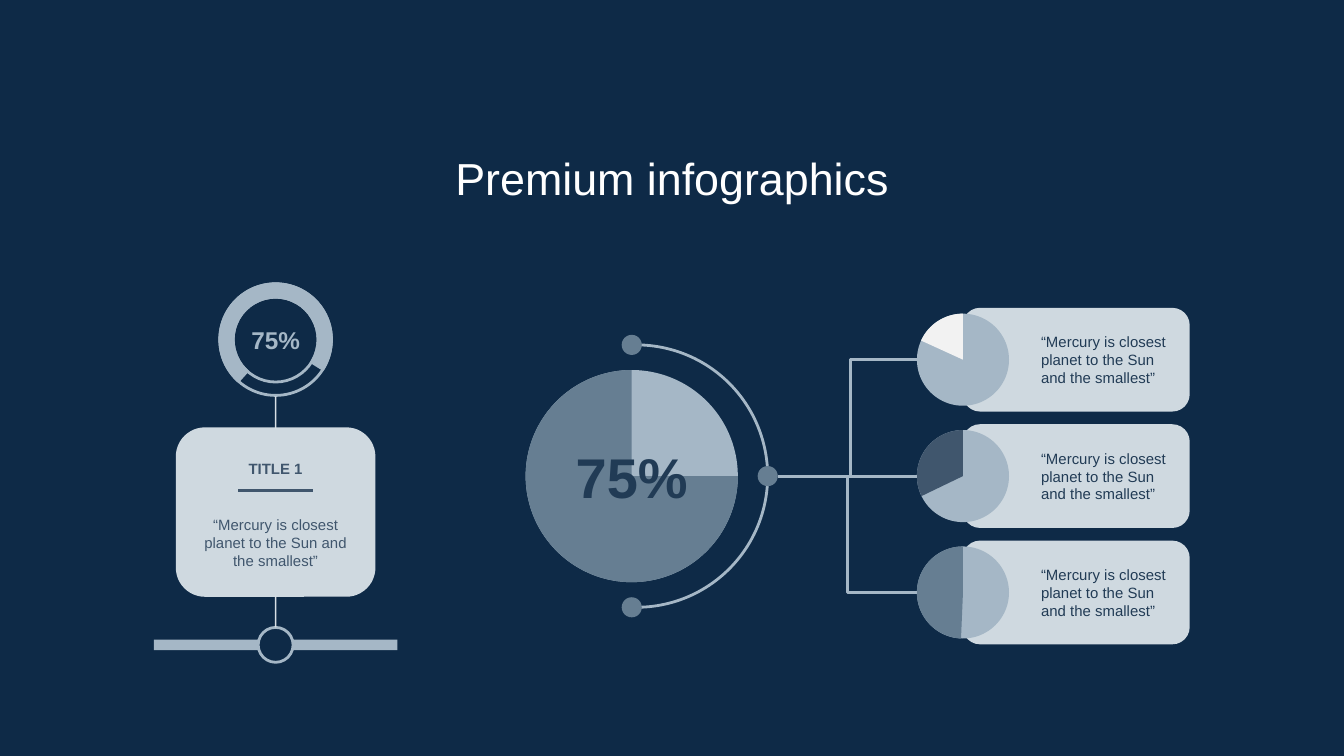
from dataclasses import dataclass

from lxml import etree
from pptx import Presentation
from pptx.dml.color import RGBColor
from pptx.enum.shapes import MSO_CONNECTOR as LINE, MSO_SHAPE as SHAPE
from pptx.enum.text import MSO_ANCHOR as ANCHOR, PP_ALIGN as ALIGN
from pptx.oxml.ns import qn
from pptx.util import Cm, Pt


@dataclass(frozen=True)
class Theme:
    font: str = "Arial"
    navy: str = "0E2A47"
    ink: str = "213B55"
    slate: str = "40566D"
    steel: str = "667E92"
    mist: str = "A5B7C6"
    card: str = "CFD9E0"
    thread: str = "D7DFE5"
    light: str = "F2F2F2"
    white: str = "FFFFFF"
    title: float = 24
    hub: float = 30
    ring: float = 13
    body: float = 8
    stroke: float = 1.5
    hairline: float = 0.75


T = Theme()
QUOTE = "“Mercury is closest planet to the Sun and the smallest”"


def rgb(color):
    return RGBColor.from_string(color)


def angle(degrees):
    """Preset-shape angle in the units of shape.adjustments."""
    return degrees * 0.6


class Canvas:
    """Draws on one slide; shapes and texts are placed by centre, in cm."""

    def __init__(self, s, theme):
        self.s, self.theme = s, theme
        s.background.fill.solid()
        s.background.fill.fore_color.rgb = rgb(theme.navy)

    def shape(self, kind, cx, cy, w, h, fill=None, line=None, adj=(), parent=None):
        shapes = (parent or self.s).shapes
        sp = shapes.add_shape(kind, Cm(cx - w / 2), Cm(cy - h / 2), Cm(w), Cm(h))
        sp.shadow.inherit = False
        for i, value in enumerate(adj):
            sp.adjustments[i] = value
        if fill:
            sp.fill.solid()
            sp.fill.fore_color.rgb = rgb(fill)
        else:
            sp.fill.background()
        if line:
            sp.line.color.rgb = rgb(line)
            sp.line.width = Pt(self.theme.stroke)
        else:
            sp.line.fill.background()
        return sp

    def dot(self, cx, cy, d, fill, line=None):
        return self.shape(SHAPE.OVAL, cx, cy, d, d, fill, line)

    def pie(self, cx, cy, d, start, color):
        """Disc with a sector from start degrees round to the top."""
        group = self.s.shapes.add_group_shape()
        self.shape(SHAPE.OVAL, cx, cy, d, d, self.theme.mist, parent=group)
        self.shape(SHAPE.PIE, cx, cy, d, d, color,
                   adj=(angle(start), angle(270)), parent=group)

    def ring(self, cx, cy, d, start, end, color):
        group = self.s.shapes.add_group_shape()
        self.shape(SHAPE.DONUT, cx, cy, d, d, line=color, adj=(0.12,), parent=group)
        self.shape(SHAPE.BLOCK_ARC, cx, cy, d, d, color, color,
                   (angle(start), angle(end), 0.12), group)

    def line(self, x1, y1, x2, y2, color, width, kind=LINE.STRAIGHT, bend=None):
        cxn = self.s.shapes.add_connector(kind, Cm(x1), Cm(y1), Cm(x2), Cm(y2))
        cxn.line.color.rgb = rgb(color)
        cxn.line.width = Pt(width)
        sp_pr = cxn._element.spPr
        etree.SubElement(sp_pr, qn("a:effectLst"))
        if bend:
            guides = sp_pr.find(qn("a:prstGeom")).find(qn("a:avLst"))
            etree.SubElement(guides, qn("a:gd"), name="adj1",
                             fmla=f"val {round(bend * 100000)}")
        return cxn

    def text(self, text, cx, cy, w, h, size, color, bold=False,
             align=ALIGN.CENTER, anchor=ANCHOR.MIDDLE):
        tb = self.s.shapes.add_textbox(Cm(cx - w / 2), Cm(cy - h / 2), Cm(w), Cm(h))
        tf = tb.text_frame
        tf.word_wrap = True
        tf.vertical_anchor = anchor
        tf.margin_left = tf.margin_right = tf.margin_top = tf.margin_bottom = Cm(0.25)
        tf.text = text
        p = tf.paragraphs[0]
        p.alignment = align
        font = p.runs[0].font
        font.name, font.size, font.bold = self.theme.font, Pt(size), bold
        font.color.rgb = rgb(color)


def draw_timeline_card(c):
    x, ring_y, card_y, bar_y = 5.21, 6.42, 9.68, 12.19
    c.shape(SHAPE.RECTANGLE, x, bar_y, 4.6, 0.2, T.mist)
    c.ring(x, ring_y, 2.11, 131.9, 32.1, T.mist)
    card = c.shape(SHAPE.ROUNDED_RECTANGLE, x, card_y, 3.72, 3.15, T.card, T.card)
    c.dot(x, bar_y, 0.66, T.navy, T.mist)
    upper = c.line(x, 7.49, x, 8.1, T.thread, T.hairline)
    upper.end_connect(card, 0)
    lower = c.line(x, 11.25, x, 11.86, T.thread, T.hairline)
    lower.begin_connect(card, 2)
    c.text(QUOTE, x, 10.26, 3.25, 1.27, T.body, T.slate)
    c.line(x - 0.71, 9.27, x + 0.71, 9.27, T.slate, T.stroke)
    c.text("TITLE 1", x, 8.86, 2.34, 0.61, T.body, T.slate, bold=True)
    c.text("75%", x, ring_y, 1.6, 1.02, T.ring, T.mist, bold=True)


def draw_hub(c):
    """Large pie that branches to three quote cards."""
    hub_x, hub_y, reach, step = 11.94, 9.0, 2.48, 2.2
    pie_x, pie_d, dot_d = 18.2, 1.74, 0.38
    dot_x = hub_x + reach + 0.09
    branches = [(-step, 204.53, T.light), (0, 154.22, T.slate), (step, 92.4, T.steel)]

    for dy, _, _ in branches:
        c.shape(SHAPE.ROUNDED_RECTANGLE, 20.34, hub_y + dy, 4.29, 1.96, T.card)
        c.text(QUOTE, 21, hub_y + dy, 3.15, 1.22, T.body, T.ink, align=ALIGN.LEFT)
    c.shape(SHAPE.ARC, dot_x - reach, hub_y, 2 * reach, 2 * reach, line=T.mist,
            adj=(angle(270), angle(88.3)))
    c.pie(hub_x, hub_y, 4.01, 0, T.steel)
    for dy, start, color in branches:
        c.pie(pie_x, hub_y + dy, pie_d, start, color)
    for x, y in [(hub_x, hub_y - reach), (hub_x, hub_y + reach), (dot_x, hub_y)]:
        c.dot(x, y, dot_d, T.steel)

    ends = dot_x + dot_d / 2, pie_x - pie_d / 2
    for dy, bend in [(-step, 0.52), (step, 0.5)]:
        c.line(ends[0], hub_y, ends[1], hub_y + dy, T.mist, T.stroke, LINE.ELBOW, bend)
    c.line(ends[0], hub_y, ends[1], hub_y, T.mist, T.stroke)
    c.text("75%", hub_x, hub_y, 2.77, 1.75, T.hub, T.ink, bold=True)


def main():
    prs = Presentation()
    prs.slide_width, prs.slide_height = Cm(25.4), Cm(14.29)
    c = Canvas(prs.slides.add_slide(prs.slide_layouts[6]), T)
    c.text("Premium infographics", 12.7, 3.27, 19.58, 1.35, T.title, T.white,
           anchor=ANCHOR.TOP)
    draw_timeline_card(c)
    draw_hub(c)
    prs.save("out.pptx")


if __name__ == "__main__":
    main()
